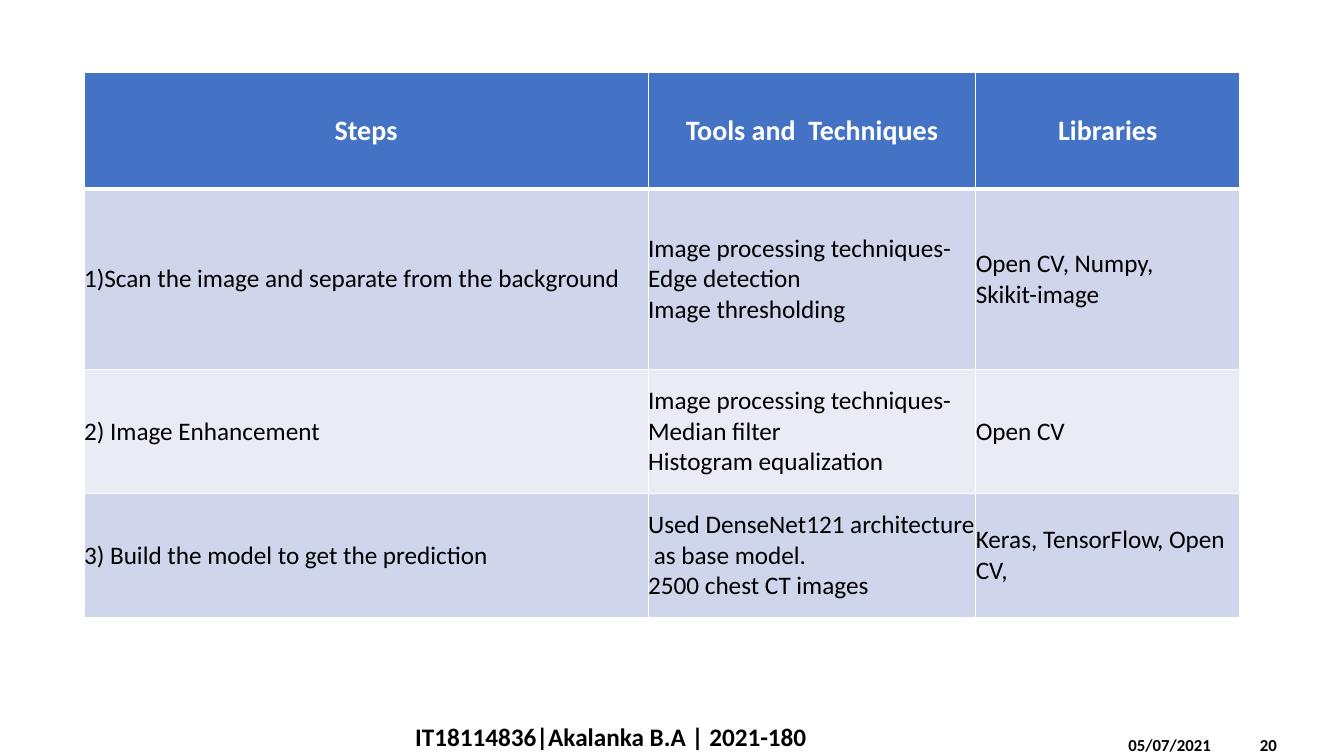
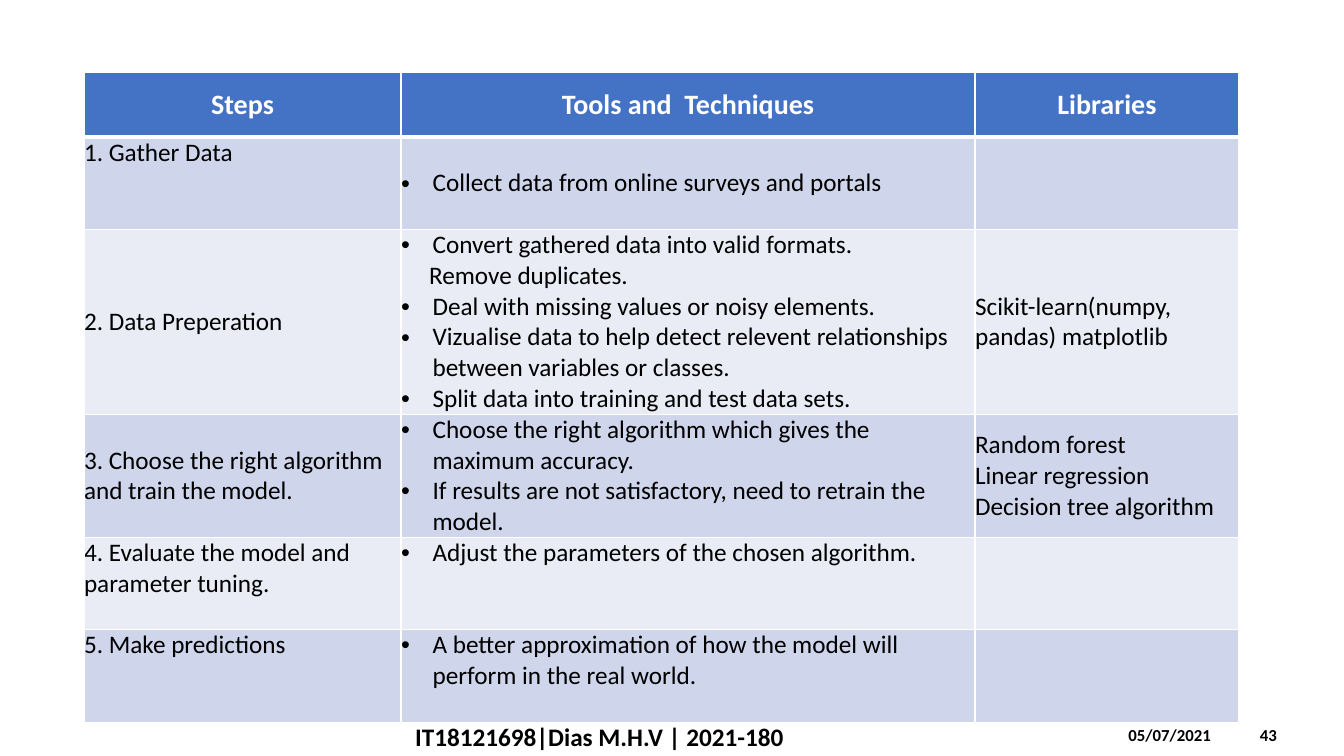
from dataclasses import dataclass

from lxml import etree
from pptx import Presentation
from pptx import util as u
from pptx.dml import color
from pptx.enum import text
from pptx.oxml import ns

Pt = u.Pt
LEFT, CENTER, RIGHT = text.PP_ALIGN.LEFT, text.PP_ALIGN.CENTER, text.PP_ALIGN.RIGHT
TOP, MIDDLE = text.MSO_ANCHOR.TOP, text.MSO_ANCHOR.MIDDLE


@dataclass(frozen=True)
class Theme:
    """Colours, type sizes and indents shared by the slides."""
    font: str = "Calibri"
    header: str = "4472C4"
    bands: tuple = ("CFD5EA", "E9EBF5")
    white: str = "FFFFFF"
    ink: str = "000000"
    header_size: int = 20
    body_size: int = 18
    date_size: int = 12
    bullet_indent: float = 22.5
    plain_indent: float = 20


def write(p, content, *, theme, size, ink, bold=False, align=LEFT, bullet=False, indent=0):
    """Fill a paragraph with one formatted run."""
    p.alignment = align
    pPr = p._p.get_or_add_pPr()
    pPr.set("marL", str(Pt(indent)))
    pPr.set("indent", str(-Pt(indent) if bullet else 0))
    if bullet:
        etree.SubElement(pPr, ns.qn("a:buFont"), typeface="Arial")
        etree.SubElement(pPr, ns.qn("a:buChar"), char="•")
    r = p.add_run()
    r.text = content
    r.font.name, r.font.size, r.font.bold = theme.font, Pt(size), bold
    r.font.color.rgb = color.RGBColor.from_string(ink)


class Deck:
    """Holds the theme, the presentation and the current slide."""

    def __init__(self, theme):
        """Start an empty widescreen presentation."""
        self.theme = theme
        self.prs = Presentation()
        self.prs.slide_width, self.prs.slide_height = Pt(960), Pt(540)

    def slide(self):
        """Add a blank slide and make it current."""
        self.s = self.prs.slides.add_slide(self.prs.slide_layouts[6])

    def label(self, content, box, *, size, align=LEFT, anchor=MIDDLE):
        """Add a bold line of text without insets."""
        sp = self.s.shapes.add_textbox(*map(Pt, box))
        tf = sp.text_frame
        tf.word_wrap = True
        tf.vertical_anchor = anchor
        tf.margin_left = tf.margin_right = tf.margin_top = tf.margin_bottom = 0
        write(tf.paragraphs[0], content, theme=self.theme, size=size,
              ink=self.theme.ink, bold=True, align=align)

    def footer(self, author, page, date_top):
        """Add the author, date and page number."""
        self.label("05/07/2021", (785, date_top, 80, 29), size=self.theme.date_size, align=RIGHT)
        self.label(page, (872, date_top, 40, 29), size=self.theme.date_size, align=RIGHT)
        self.label(author, (296.5, 515, 375, 22), size=self.theme.body_size, anchor=TOP)

    def border(self, cell, side, width):
        """Draw one white edge of a cell."""
        ln = etree.SubElement(cell._tc.get_or_add_tcPr(), ns.qn(f"a:ln{side}"), w=str(Pt(width)))
        fill = etree.SubElement(ln, ns.qn("a:solidFill"))
        etree.SubElement(fill, ns.qn("a:srgbClr"), val=self.theme.white)

    def cell(self, cell, row, content, anchor):
        """Style a cell by its row and write its lines."""
        t = self.theme
        head = row == 0
        cell.margin_left = cell.margin_right = cell.margin_top = cell.margin_bottom = 0
        cell.vertical_anchor = anchor
        widths = {"L": 1, "R": 1, "T": 3 if row == 1 else 1, "B": 3 if head else 1}
        for side, width in widths.items():
            self.border(cell, side, width)
        cell.fill.solid()
        cell.fill.fore_color.rgb = color.RGBColor.from_string(
            t.header if head else t.bands[(row - 1) % 2])
        if not content:
            return
        tf = cell.text_frame
        for i, line in enumerate(content.split("\n")):
            p = tf.add_paragraph() if i else tf.paragraphs[0]
            bullet = line.startswith("• ")
            indent = t.bullet_indent if bullet else t.plain_indent if "• " in content else 0
            write(p, line.removeprefix("• "), theme=t, bold=head, bullet=bullet, indent=indent,
                  size=t.header_size if head else t.body_size,
                  ink=t.white if head else t.ink, align=CENTER if head else LEFT)

    def table(self, widths, heights, rows, top=()):
        """Add a steps table under the shared header row."""
        rows = [("Steps", "Tools and  Techniques", "Libraries"), *rows]
        tbl = self.s.shapes.add_table(len(rows), len(widths), Pt(60), Pt(52),
                                      Pt(sum(widths)), Pt(sum(heights))).table
        for col, width in zip(tbl.columns, widths):
            col.width = Pt(width)
        for i, (height, row) in enumerate(zip(heights, rows)):
            tbl.rows[i].height = Pt(height)
            for j, content in enumerate(row):
                self.cell(tbl.cell(i, j), i, content, TOP if (i, j) in top else MIDDLE)


IMAGE_STEPS = [
    ("1)Scan the image and separate from the background",
     "Image processing techniques-\nEdge detection\nImage thresholding",
     "Open CV, Numpy,\nSkikit-image"),
    ("2) Image Enhancement",
     "Image processing techniques-\nMedian filter\nHistogram equalization",
     "Open CV"),
    ("3) Build the model to get the prediction",
     "Used DenseNet121 architecture  as base model.\n2500 chest CT images",
     "Keras, TensorFlow, Open CV,"),
]

DATA_STEPS = [
    ("1. Gather Data", "• Collect data from online surveys and portals", ""),
    ("2. Data Preperation",
     "• Convert gathered data into valid formats.\n"
     "Remove duplicates.\n"
     "• Deal with missing values or noisy elements.\n"
     "• Vizualise data to help detect relevent relationships between variables or classes.\n"
     "• Split data into training and test data sets.",
     "Scikit-learn(numpy, pandas) matplotlib"),
    ("3. Choose the right algorithm and train the model.",
     "• Choose the right algorithm which gives the maximum accuracy.\n"
     "• If results are not satisfactory, need to retrain the model.",
     "Random forest\nLinear regression\nDecision tree algorithm"),
    ("4. Evaluate the model and parameter tuning.",
     "• Adjust the parameters of the chosen algorithm.", ""),
    ("5. Make predictions",
     "• A better approximation of how the model will perform in the real world.", ""),
]


def main():
    """Build both slides and save the deck."""
    deck = Deck(Theme())
    deck.slide()
    deck.table((403, 234, 188.5), (83, 129, 88.5, 88.5), IMAGE_STEPS)
    deck.footer("IT18114836|Akalanka B.A | 2021-180", "20", 517.5)
    deck.slide()
    deck.table((226.5, 410, 188.5), (46, 66, 132, 88, 66, 66), DATA_STEPS,
               top={(1, 0), (4, 0), (4, 1), (5, 0), (5, 1)})
    deck.footer("IT18121698|Dias M.H.V | 2021-180", "43", 510.5)
    deck.prs.save("out.pptx")


if __name__ == "__main__":
    main()
